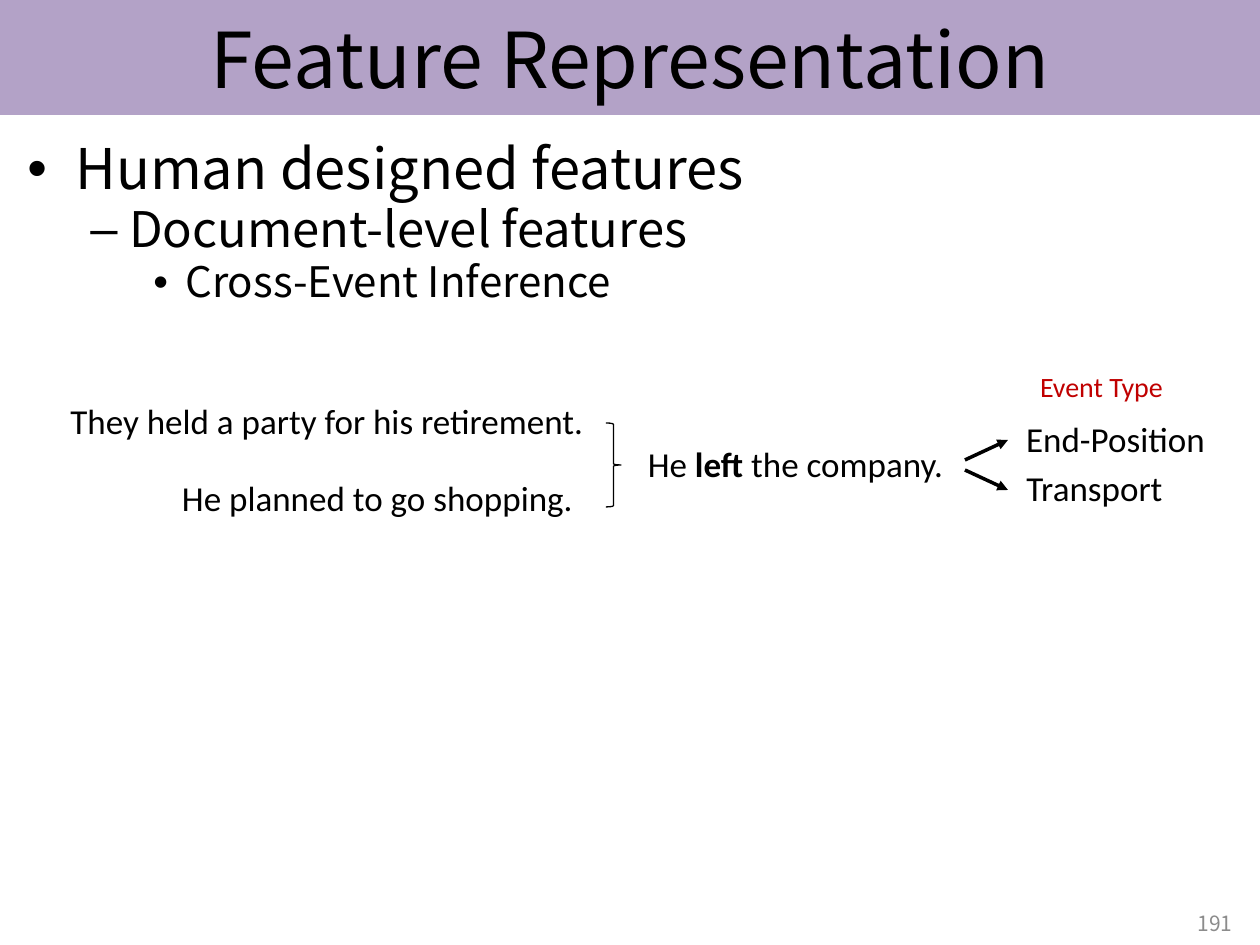
import pptx
import pptx.dml.color
import pptx.enum.shapes
import pptx.enum.text
import pptx.oxml
import pptx.oxml.ns
import pptx.util

EMU_PER_PX = 914400 // 126
COLORS = {"band": "B3A2C7", "text": "000000", "accent": "C00000", "number": "8C8C8C"}
HEADING_FONT = "Noto Sans CJK SC"
EXAMPLE_FONT = "Calibri"
ALIGN = pptx.enum.text.PP_ALIGN
ANCHOR = pptx.enum.text.MSO_ANCHOR


def px(length):
    return pptx.util.Emu(length * EMU_PER_PX)


def rgb(name):
    return pptx.dml.color.RGBColor.from_string(COLORS[name])


def add_run(paragraph, wording, size, font, color="text", bold=False):
    run = paragraph.add_run()
    run.text = wording
    run.font.color.rgb = rgb(color)
    formats = {"size": pptx.util.Pt(size), "name": font, "bold": bold}
    for attribute, value in formats.items():
        setattr(run.font, attribute, value)


def add_textbox(slide, box, anchor=ANCHOR.TOP):
    frame = slide.shapes.add_textbox(*map(px, box)).text_frame
    frame.word_wrap = True
    frame.vertical_anchor = anchor
    return frame


def add_title(slide, wording):
    band = slide.shapes.add_shape(
        pptx.enum.shapes.MSO_SHAPE.RECTANGLE, 0, 0, px(1260), px(115))
    band.shadow.inherit = False
    band.fill.solid()
    band.fill.fore_color.rgb = rgb("band")
    band.line.fill.background()
    band.text_frame.vertical_anchor = ANCHOR.MIDDLE
    paragraph = band.text_frame.paragraphs[0]
    paragraph.alignment = ALIGN.CENTER
    add_run(paragraph, wording, 44, HEADING_FONT)


def add_outline(slide, box, items):
    """Items are (wording, size, bullet, left margin, hanging indent)."""
    frame = add_textbox(slide, box)
    for level, (wording, size, bullet, margin, hanging) in enumerate(items):
        paragraph = frame.add_paragraph() if level else frame.paragraphs[0]
        paragraph.level = level
        properties = paragraph._p.get_or_add_pPr()
        properties.set("marL", str(px(margin)))
        properties.set("indent", str(px(-hanging)))
        namespace = pptx.oxml.ns.nsdecls("a")
        for element in ('<a:buFont %s typeface="Arial"/>' % namespace,
                        '<a:buChar %s char="%s"/>' % (namespace, bullet)):
            properties.append(pptx.oxml.parse_xml(element))
        paragraph.line_spacing = 0.9
        if level:
            paragraph.space_before = pptx.util.Pt(size // 10)
        add_run(paragraph, wording, size, HEADING_FONT)


def add_label(slide, box, parts, size=20, color="text"):
    """Parts are (wording, bold) pairs on one centred line."""
    paragraph = add_textbox(slide, box).paragraphs[0]
    paragraph.alignment = ALIGN.CENTER
    for wording, bold in parts:
        add_run(paragraph, wording, size, EXAMPLE_FONT, color, bold)


def add_brace(slide, box):
    brace = slide.shapes.add_shape(
        pptx.enum.shapes.MSO_SHAPE.RIGHT_BRACE, *map(px, box))
    brace.shadow.inherit = False
    brace.fill.background()
    brace.line.color.rgb = rgb("text")
    brace.line.width = pptx.util.Pt(0.75)


def add_arrow(slide, start, end):
    arrow = slide.shapes.add_connector(
        pptx.enum.shapes.MSO_CONNECTOR.STRAIGHT, *map(px, start + end))
    arrow.line.color.rgb = rgb("text")
    arrow.line.width = pptx.util.Pt(2)
    namespace = pptx.oxml.ns.nsdecls("a")
    arrow.line._get_or_add_ln().append(
        pptx.oxml.parse_xml('<a:tailEnd %s type="triangle"/>' % namespace))
    arrow._element.spPr.append(
        pptx.oxml.parse_xml("<a:effectLst %s/>" % namespace))


def add_page_number(slide, number):
    paragraph = add_textbox(slide, (951, 898, 294, 50), ANCHOR.MIDDLE).paragraphs[0]
    paragraph.alignment = ALIGN.RIGHT
    add_run(paragraph, number, 12, HEADING_FONT, "number")


def main():
    presentation = pptx.Presentation()
    presentation.slide_width, presentation.slide_height = px(1260), px(945)
    slide = presentation.slides.add_slide(presentation.slide_layouts[6])

    add_title(slide, "Feature Representation")
    add_page_number(slide, "191")
    add_outline(slide, (15, 135, 1201, 774), [
        ("Human designed features", 32, "•", 48, 48),
        ("Document-level features", 28, "–", 102, 39),
        ("Cross-Event Inference", 24, "•", 158, 32),
    ])

    add_label(slide, (44, 393, 566, 59),
              [("They held a party for his retirement.", False)])
    add_label(slide, (145, 470, 465, 59), [("He planned to go shopping.", False)])
    add_brace(slide, (606, 423, 15, 84))
    add_label(slide, (617, 436, 357, 59),
              [("He ", False), ("left", True), (" the company.", False)])

    add_arrow(slide, (965, 460), (1008, 440))
    add_arrow(slide, (965, 470), (1008, 490))
    add_label(slide, (985, 363, 233, 59), [("Event Type", False)], 16, "accent")
    add_label(slide, (999, 411, 233, 59), [("End-Position", False)])
    add_label(slide, (978, 460, 233, 59), [("Transport", False)])

    presentation.save("out.pptx")


if __name__ == "__main__":
    main()
